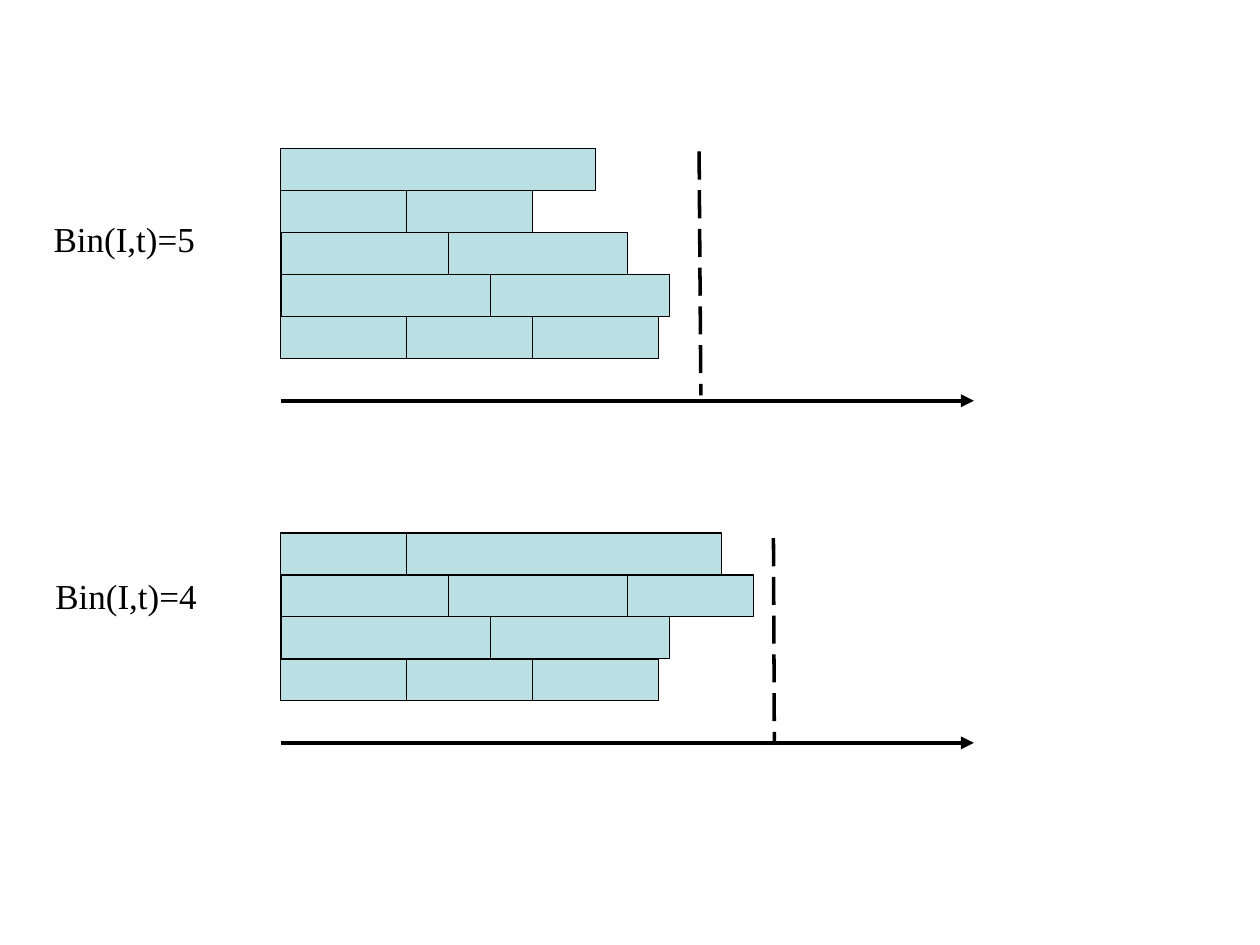
from lxml import etree
from pptx import Presentation
from pptx.dml.color import RGBColor
from pptx.enum.dml import MSO_LINE
from pptx.enum.shapes import MSO_CONNECTOR, MSO_SHAPE
from pptx.oxml.ns import qn
from pptx.util import Pt

RECTANGLE = MSO_SHAPE.RECTANGLE
STRAIGHT = MSO_CONNECTOR.STRAIGHT
LONG_DASH = MSO_LINE.LONG_DASH
BLANK_LAYOUT = 6
FONT = "Times New Roman"
BLACK, ITEM_FILL = "000000", "BBE0E3"
ROW_HEIGHT = 24
AXIS_LENGTH = 396
SHORT, MEDIUM, WIDE, WIDER, LONG = 72, 96, 102, 120, 180


def color(value):
    """Turn a hex string into a colour."""
    return RGBColor.from_string(value)


def add_line(page, start, end, width):
    """Draw a plain black line between two points."""
    line = page.shapes.add_connector(STRAIGHT, *map(Pt, (*start, *end)))
    line.line.color.rgb = color(BLACK)
    line.line.width = Pt(width)
    etree.SubElement(line._element.spPr, qn("a:effectLst"))
    return line


def add_axis(page, left, top):
    """Draw the horizontal axis with its arrowhead."""
    axis = add_line(page, (left, top), (left + AXIS_LENGTH, top), 2.5)
    etree.SubElement(axis.line._get_or_add_ln(), qn("a:tailEnd"), type="triangle")


def add_item(page, left, top, width):
    """Draw one item of a bin."""
    item = page.shapes.add_shape(RECTANGLE, Pt(left), Pt(top), Pt(width), Pt(ROW_HEIGHT))
    item.shadow.inherit = False
    item.fill.solid()
    item.fill.fore_color.rgb = color(ITEM_FILL)
    item.line.color.rgb = color(BLACK)
    item.line.width = Pt(0.75)


def add_label(page, text, left, top):
    """Write the label beside a packing."""
    box = page.shapes.add_textbox(Pt(left), Pt(top), Pt(98), Pt(31.5))
    box.text_frame.word_wrap = True
    para = box.text_frame.paragraphs[0]
    para.text = text
    para.font.name = FONT
    para.font.size = Pt(20)
    para.font.color.rgb = color(BLACK)


def add_packing(page, left, top, bins, limit_start, limit_end):
    """Draw rows of items, the axis one row below them and the dashed limit."""
    for row, widths in enumerate(bins):
        for index, width in enumerate(widths):
            add_item(page, left + sum(widths[:index]), top + row * ROW_HEIGHT, width)
    add_axis(page, left, top + (len(bins) + 1) * ROW_HEIGHT)
    limit = add_line(page, limit_start, limit_end, 2)
    limit.line.dash_style = LONG_DASH


def main():
    """Build the slide with its two packings."""
    deck = Presentation()
    deck.slide_width, deck.slide_height = Pt(720), Pt(540)
    page = deck.slides.add_slide(deck.slide_layouts[BLANK_LAYOUT])

    shared_bins = [(WIDER, WIDE), (SHORT, SHORT, SHORT)]
    five_bins = [(LONG,), (SHORT, SHORT), (MEDIUM, WIDE)] + shared_bins
    four_bins = [(SHORT, LONG), (MEDIUM, WIDE, SHORT)] + shared_bins

    add_packing(page, 160.5, 85, five_bins, (399.5, 86.5), (400.5, 226))
    add_label(page, "Bin(I,t)=5", 23.5, 121)
    add_packing(page, 160.5, 304.5, four_bins, (442, 307.5), (442.5, 424.5))
    add_label(page, "Bin(I,t)=4", 24.5, 325)
    deck.save("out.pptx")


if __name__ == "__main__":
    main()
